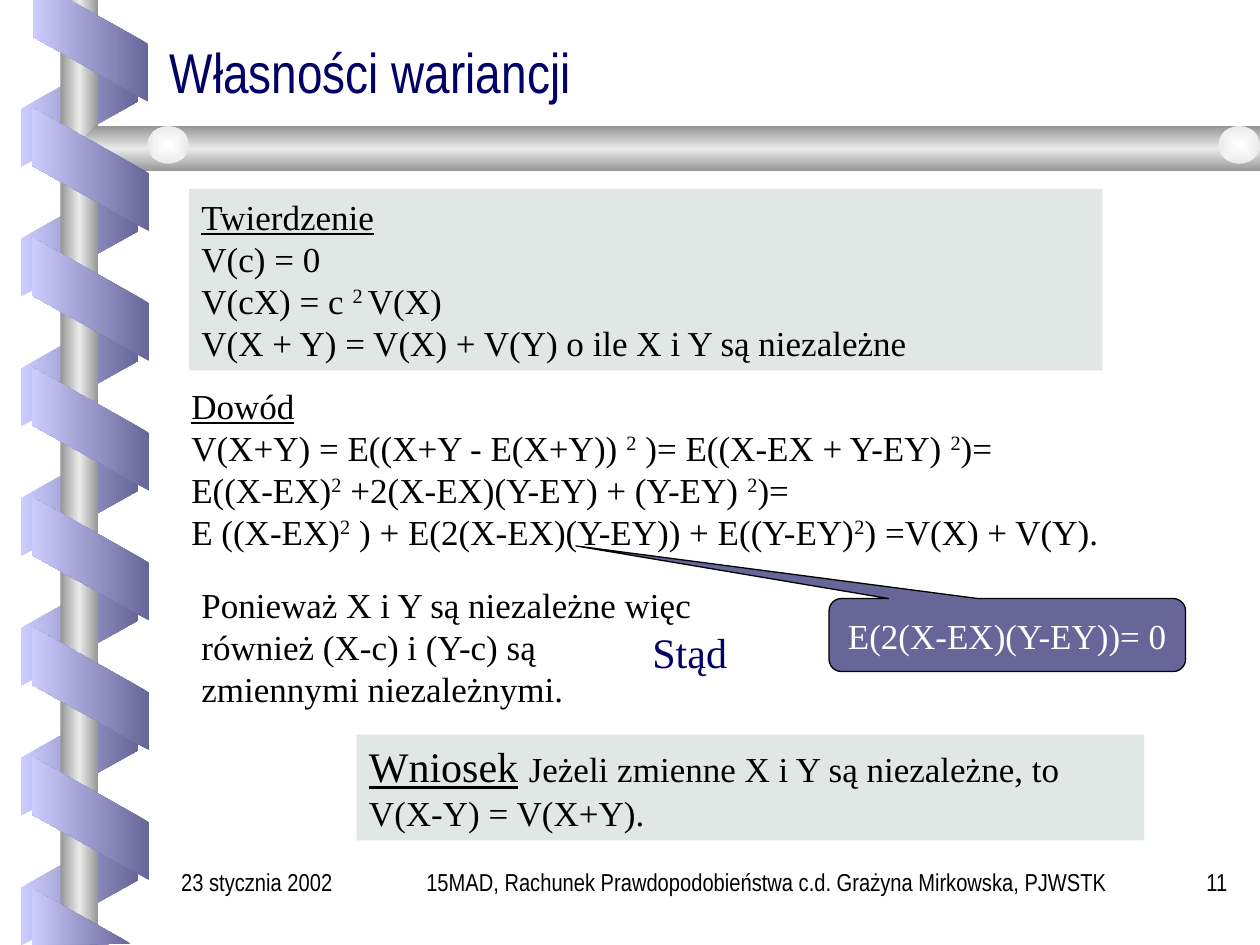
from dataclasses import dataclass, field
from typing import Optional

from pptx import Presentation
from pptx.dml.color import RGBColor
from pptx.enum.shapes import MSO_SHAPE
from pptx.enum.text import MSO_ANCHOR, MSO_AUTO_SIZE, PP_ALIGN
from pptx.oxml.ns import qn
from pptx.oxml.xmlchemy import OxmlElement
from pptx.util import Emu, Pt

PX = 9144


@dataclass(frozen=True)
class Theme:
    navy: str = "000066"
    black: str = "000000"
    white: str = "FFFFFF"
    violet: str = "666699"
    lilac: str = "CCCCFF"
    steel: str = "969696"
    silver: str = "EAEAEA"
    pearl: str = "FEFFFF"
    panel: str = "E1E7E4"
    serif: str = "Times New Roman"
    sans: str = "Arial Narrow"
    title: int = 32
    lead: int = 24
    body: int = 20
    footer: int = 14


T = Theme()


@dataclass(frozen=True)
class Gradient:
    colors: tuple[str, ...]
    angle: Optional[int] = 180


@dataclass(frozen=True)
class Box:
    x: int
    y: int
    w: int
    h: int


@dataclass(frozen=True)
class Run:
    text: str
    size: int = T.body
    underline: bool = False


@dataclass(frozen=True)
class TextBlock:
    box: Box
    runs: tuple[Run, ...]
    color: str = T.black
    font: str = T.serif
    fill: Optional[str] = None
    frame: dict = field(default_factory=dict)
    para: dict = field(default_factory=dict)


BACK = Gradient((T.lilac, T.violet))
FRONT = Gradient((T.violet, T.lilac))
POLE = Gradient((T.steel, T.silver, T.steel))
BAR = Gradient((T.steel, T.silver, T.steel), 90)
KNOB = Gradient((T.pearl, T.silver), None)

BAR_POINTS = ((1000, 100), (76, 100), (60, 118), (76, 136), (1000, 136))
TOP_POINTS = ((26, 0), (26, 29), (118, 81), (118, 35), (55, 0))
BOTTOM_POINTS = ((104, 749), (25, 705), (25, 750))

BLOCKS = (
    TextBlock(Box(125, 25, 850, 63), (Run("Własności wariancji", T.title),),
              T.navy, T.sans, frame={"vertical_anchor": MSO_ANCHOR.BOTTOM},
              para={"line_spacing": 0.8}),
    TextBlock(Box(283, 583, 625, 84), (
        Run("Wniosek", T.lead, True), Run(" ", T.lead),
        Run("Jeżeli zmienne X i Y są niezależne, to\nV(X-Y) = V(X+Y).")), fill=T.panel),
    TextBlock(Box(150, 150, 725, 144), (
        Run("Twierdzenie", underline=True),
        Run("\nV(c) = 0\nV(cX) = c |2 |V(X)\n"
            "V(X + Y) = V(X) + V(Y) o ile X i Y są niezależne")), fill=T.panel),
    TextBlock(Box(142, 300, 817, 144), (
        Run("Dowód", underline=True),
        Run("\nV(X+Y) = E((X+Y - E(X+Y)) |2| )= E((X-EX + Y-EY) |2|)=\n"
            "E((X-EX)|2| +2(X-EX)(Y-EY) + (Y-EY) |2|)=\n"
            "E ((X-EX)|2| ) + E(2(X-EX)(Y-EY)) + E((Y-EY)|2|) =V(X) + V(Y)."))),
    TextBlock(Box(150, 458, 417, 110), (
        Run("Ponieważ X i Y są niezależne więc również (X-c) i (Y-c) są "
            "zmiennymi niezależnymi."),)),
)
CALLOUT = TextBlock(Box(658, 475, 283, 58), (Run("E(2(X-EX)(Y-EY))= 0"),), T.white,
                    frame={"vertical_anchor": MSO_ANCHOR.MIDDLE, "word_wrap": False},
                    para={"alignment": PP_ALIGN.CENTER})
HENCE = TextBlock(Box(508, 492, 100, 57), (Run("Stąd", T.lead),), T.navy,
                  frame={"word_wrap": False})
FOOTERS = (
    (300, 617, "15MAD, Rachunek Prawdopodobieństwa c.d. Grażyna Mirkowska, PJWSTK",
     PP_ALIGN.CENTER),
    (900, 84, "11", PP_ALIGN.RIGHT),
    (134, 166, "23 stycznia 2002", PP_ALIGN.LEFT),
)


def apply(target, values: dict) -> None:
    for name, value in values.items():
        setattr(target, name, value)


def emu(box: Box) -> list[Emu]:
    return [Emu(v * PX) for v in (box.x, box.y, box.w, box.h)]


def paint(sp, gradient: Gradient) -> None:
    sp.shadow.inherit = False
    sp.line.fill.background()
    sp.fill.gradient()
    grad = sp._element.spPr.find(qn("a:gradFill"))
    grad.set("rotWithShape", "0")
    for child in list(grad):
        grad.remove(child)
    stops = OxmlElement("a:gsLst")
    grad.append(stops)
    for i, color in enumerate(gradient.colors):
        stop, rgb = OxmlElement("a:gs"), OxmlElement("a:srgbClr")
        stop.set("pos", str(100000 * i // (len(gradient.colors) - 1)))
        rgb.set("val", color)
        stop.append(rgb)
        stops.append(stop)
    if gradient.angle is None:
        shade, center = OxmlElement("a:path"), OxmlElement("a:fillToRect")
        shade.set("path", "rect")
        for side in "ltrb":
            center.set(side, "50000")
        shade.append(center)
    else:
        shade = OxmlElement("a:lin")
        shade.set("ang", str(gradient.angle * 60000))
        shade.set("scaled", "0")
    grad.append(shade)


def draw_shape(s, kind: MSO_SHAPE, box: Box, gradient: Gradient):
    sp = s.shapes.add_shape(kind, *emu(box))
    paint(sp, gradient)
    return sp


def draw_ribbon(s, x: int, y: int, rotation: int, gradient: Gradient, flip: bool) -> None:
    sp = draw_shape(s, MSO_SHAPE.PARALLELOGRAM, Box(x, y, 98, 93), gradient)
    sp.adjustments[0] = 0.56
    sp.rotation = rotation
    if flip:
        sp._element.spPr.find(qn("a:xfrm")).set("flipH", "1")


def draw_outline(s, points: tuple, gradient: Gradient) -> None:
    builder = s.shapes.build_freeform(*points[0], scale=PX)
    builder.add_line_segments(points[1:], close=True)
    paint(builder.convert_to_shape(), gradient)


def write(sp, block: TextBlock) -> None:
    tf = sp.text_frame
    apply(tf, {"word_wrap": True, "auto_size": MSO_AUTO_SIZE.NONE,
               "vertical_anchor": MSO_ANCHOR.TOP} | block.frame)
    p = tf.paragraphs[0]
    apply(p, {"alignment": PP_ALIGN.LEFT} | block.para)
    for run in block.runs:
        for i, part in enumerate(run.text.split("|")):
            for j, line in enumerate(part.split("\n")):
                if j:
                    p.add_line_break()
                if not line:
                    continue
                r = p.add_run()
                r.text = line
                apply(r.font, {"name": block.font, "size": Pt(run.size),
                               "underline": run.underline})
                r.font.color.rgb = RGBColor.from_string(block.color)
                if i % 2:
                    r.font._element.set("baseline", "30000")


def draw_block(s, block: TextBlock) -> None:
    if block.fill:
        sp = s.shapes.add_shape(MSO_SHAPE.RECTANGLE, *emu(block.box))
        sp.shadow.inherit = False
        sp.line.fill.background()
        sp.fill.solid()
        sp.fill.fore_color.rgb = RGBColor.from_string(block.fill)
    else:
        sp = s.shapes.add_textbox(*emu(block.box))
    write(sp, block)


def draw_callout(s, block: TextBlock) -> None:
    sp = s.shapes.add_shape(MSO_SHAPE.ROUNDED_RECTANGULAR_CALLOUT, *emu(block.box))
    sp.shadow.inherit = False
    for i, value in enumerate((-1.21, -1.22, 0.17)):
        sp.adjustments[i] = value
    sp.fill.solid()
    sp.fill.fore_color.rgb = RGBColor.from_string(T.violet)
    sp.line.color.rgb = RGBColor.from_string(T.black)
    sp.line.width = Pt(0.75)
    write(sp, block)


def draw_spiral(s) -> None:
    for i in range(7):
        draw_ribbon(s, 14, 37 + 103 * i, 90, BACK, True)
    draw_shape(s, MSO_SHAPE.RECTANGLE, Box(48, 0, 30, 750), POLE)
    draw_outline(s, BAR_POINTS, BAR)
    for x in (117, 967):
        draw_shape(s, MSO_SHAPE.OVAL, Box(x, 100, 33, 30), KNOB)
    for i in range(6):
        draw_ribbon(s, 23, 88 + 103 * i, 270, FRONT, False)
    for points in (TOP_POINTS, BOTTOM_POINTS):
        draw_outline(s, points, FRONT)


def main() -> None:
    prs = Presentation()
    apply(prs, {"slide_width": Emu(1000 * PX), "slide_height": Emu(750 * PX)})
    s = prs.slides.add_slide(prs.slide_layouts[6])
    draw_spiral(s)
    for block in BLOCKS:
        draw_block(s, block)
    draw_callout(s, CALLOUT)
    draw_block(s, HENCE)
    for x, w, text, align in FOOTERS:
        draw_block(s, TextBlock(Box(x, 683, w, 50), (Run(text, T.footer),),
                                font=T.sans, para={"alignment": align}))
    prs.save("out.pptx")


if __name__ == "__main__":
    main()
